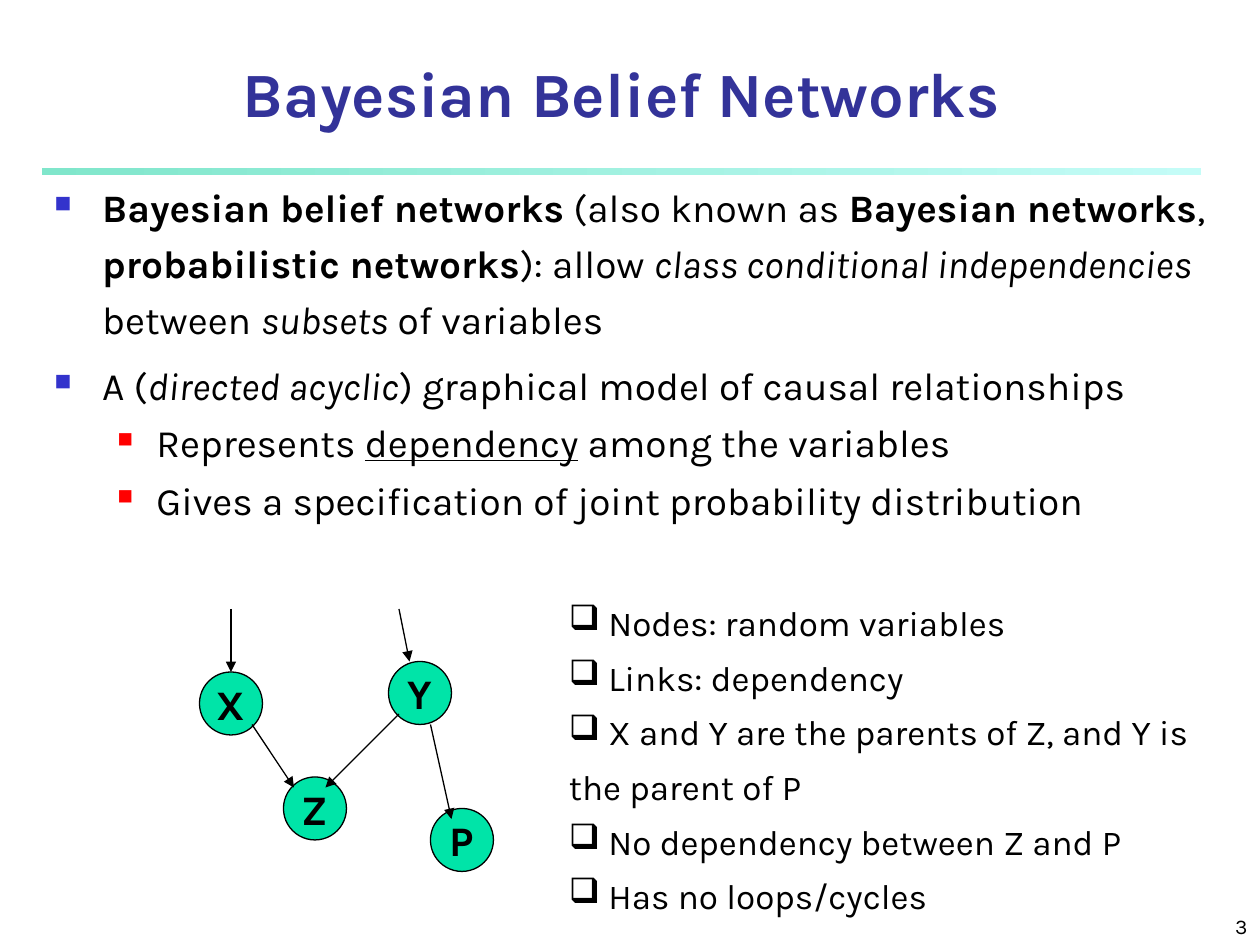
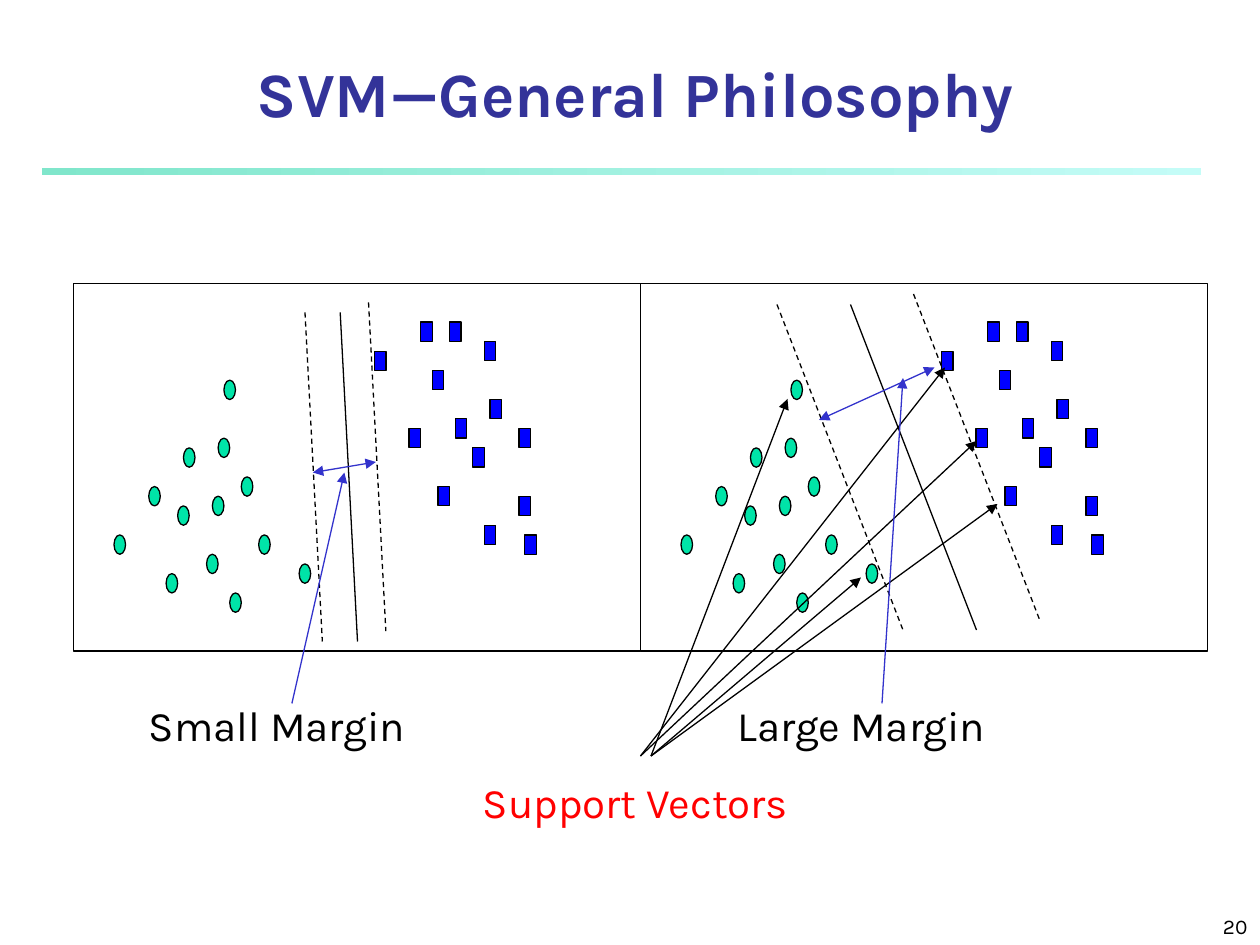
from lxml.etree import SubElement
from pptx import Presentation
from pptx.dml.color import RGBColor
from pptx.enum.dml import MSO_LINE
from pptx.enum.shapes import MSO_CONNECTOR, MSO_SHAPE
from pptx.enum.text import MSO_ANCHOR, PP_ALIGN
from pptx.oxml.ns import qn
from pptx.util import Inches, Pt

COLORS = {
    "title": "333399", "ink": "000000", "accent": "3333CC", "alert": "FF0000",
    "node": "00E4A8", "square": "0000FF", "bar_start": "80E6CB", "bar_end": "C4FCF7",
}
COLS, ROWS = 120, 90
WIDTH, HEIGHT = Inches(10), Inches(7.5)
FONT = "Karla"

BOLD, ITALIC, UNDERLINE = {"bold": True}, {"italic": True}, {"underline": True}
TOPIC = {"bullet": ("■", "accent", 60), "indent": (0.38, -0.38),
         "format": {"line_spacing": 1.2, "space_before": Pt(6)}}
DETAIL = {"bullet": ("■", "alert", 55), "indent": (0.81, -0.31),
          "format": {"level": 1, "space_before": Pt(6)}}
CHECK = {"bullet": ("❑", "ink", 100), "indent": (0, 0), "format": {"line_spacing": 1.3}}

PANEL = (54, 35)
PANEL_GRID = (98, 38)
CIRCLES = [(16, 30), (18, 23), (7, 26), (13, 21), (23, 28), (19, 17), (24, 22),
           (25, 16), (29, 20), (32, 26), (27, 32), (39, 29), (26, 10)]
SQUARES = [(58, 15), (52, 7), (60, 4), (63, 21), (62, 9), (66, 14), (65, 4),
           (71, 6), (69, 17), (72, 12), (71, 25), (77, 15), (77, 22), (78, 26)]


def rgb(name):
    return RGBColor.from_string(COLORS[name])


def x(col):
    return round(WIDTH * col / COLS)


def y(row):
    return round(HEIGHT * row / ROWS)


def box(left, top, width, height):
    return x(left), y(top), x(width), y(height)


class Deck:
    def __init__(self):
        self.prs = Presentation()
        self.prs.slide_width, self.prs.slide_height = WIDTH, HEIGHT
        self.s = None

    def slide(self, title, number, title_width):
        self.s = self.prs.slides.add_slide(self.prs.slide_layouts[6])
        bar = self.shape(MSO_SHAPE.RECTANGLE, (4, 16, 110.4, 0.65))
        bar.line.fill.background()
        bar.fill.gradient()
        bar.fill.gradient_angle = 0
        for stop, name in zip(bar.fill.gradient_stops, ("bar_start", "bar_end")):
            stop.color.rgb = rgb(name)
        self.text((95, 85, 25, 5), [number], size=12, align=PP_ALIGN.RIGHT,
                  anchor=MSO_ANCHOR.BOTTOM)
        self.text((4, 5, title_width, 8), [title], size=36, color="title", bold=True,
                  align=PP_ALIGN.CENTER, anchor=MSO_ANCHOR.BOTTOM)

    def shape(self, kind, place, fill=None):
        sp = self.s.shapes.add_shape(kind, *box(*place))
        sp.shadow.inherit = False
        if fill:
            sp.fill.solid()
            sp.fill.fore_color.rgb = rgb(fill)
        else:
            sp.fill.background()
        sp.line.color.rgb = rgb("ink")
        sp.line.width = Pt(0.75)
        return sp

    def runs(self, p, parts, size, color="ink", **style):
        for part in [parts] if isinstance(parts, str) else parts:
            words, extra = (part, {}) if isinstance(part, str) else part
            r = p.add_run()
            r.text = words
            r.font.color.rgb = rgb(color)
            for key, value in {"name": FONT, "size": Pt(size), **style, **extra}.items():
                setattr(r.font, key, value)

    def text(self, place, lines, size, align=PP_ALIGN.LEFT, anchor=MSO_ANCHOR.TOP,
             wrap=True, **style):
        tf = self.s.shapes.add_textbox(*box(*place)).text_frame
        tf.word_wrap, tf.vertical_anchor = wrap, anchor
        for i, line in enumerate(lines):
            p = tf.paragraphs[0] if i == 0 else tf.add_paragraph()
            p.alignment = align
            kind, parts = line if isinstance(line, tuple) else (None, line)
            if kind:
                self.bullet(p, kind)
            self.runs(p, parts, size, **style)

    def bullet(self, p, kind):
        for key, value in kind["format"].items():
            setattr(p, key, value)
        char, color, percent = kind["bullet"]
        margin, indent = kind["indent"]
        pPr = p._p.get_or_add_pPr()
        pPr.set("marL", str(Inches(margin)))
        pPr.set("indent", str(Inches(indent)))
        clr = SubElement(pPr, qn("a:buClr"))
        SubElement(clr, qn("a:srgbClr"), val=COLORS[color])
        SubElement(pPr, qn("a:buSzPct"), val=str(percent * 1000))
        SubElement(pPr, qn("a:buChar"), char=char)

    def node(self, name, left, top):
        sp = self.shape(MSO_SHAPE.FLOWCHART_CONNECTOR, (left, top, 6, 6), "node")
        tf = sp.text_frame
        tf.word_wrap, tf.vertical_anchor = False, MSO_ANCHOR.MIDDLE
        p = tf.paragraphs[0]
        p.alignment = PP_ALIGN.CENTER
        self.runs(p, name, 24, bold=True)

    def line(self, x1, y1, x2, y2, color="ink", dash=False, ends=()):
        sp = self.s.shapes.add_connector(MSO_CONNECTOR.STRAIGHT, x(x1), y(y1), x(x2), y(y2))
        sp.line.color.rgb = rgb(color)
        sp.line.width = Pt(0.75)
        if dash:
            sp.line.dash_style = MSO_LINE.DASH
        spPr = sp._element.spPr
        for end in ends:
            SubElement(spPr.find(qn("a:ln")), qn(f"a:{end}"), type="triangle")
        SubElement(spPr, qn("a:effectLst"))

    def scatter(self, left, top):
        dx, dy = (size / cells for size, cells in zip(PANEL, PANEL_GRID))
        for kind, fill, points in ((MSO_SHAPE.OVAL, "node", CIRCLES),
                                   (MSO_SHAPE.RECTANGLE, "square", SQUARES)):
            for col, row in points:
                self.shape(kind, (left + col * dx, top + row * dy, 2 * dx, 2 * dy), fill)
        self.shape(MSO_SHAPE.RECTANGLE, (left, top, *PANEL))


def networks_slide(deck):
    deck.slide("Bayesian Belief Networks", "3", 110.3)
    deck.text((4, 16, 113, 39.5), [
        (TOPIC, [("Bayesian belief networks", BOLD), " (also known as ",
                 ("Bayesian networks", BOLD), ", ", ("probabilistic networks", BOLD),
                 "): allow ", ("class conditional independencies", ITALIC),
                 " between ", ("subsets", ITALIC), " of variables"]),
        (TOPIC, ["A (", ("directed acyclic", ITALIC),
                 ") graphical model of causal relationships"]),
        (DETAIL, ["Represents ", ("dependency", UNDERLINE), " among the variables"]),
        (DETAIL, "Gives a specification of joint probability distribution"),
    ], size=22.2)
    for name, left, top in (("X", 19, 64), ("Y", 37, 63), ("Z", 27, 74), ("P", 41, 77)):
        deck.node(name, left, top)
    for link in ((24, 69, 28, 75), (38, 68, 31, 75), (41, 69, 43, 78),
                 (22, 58, 22, 64), (38, 58, 39, 63)):
        deck.line(*link, ends=["tailEnd"])
    deck.text((53, 55.5, 64.8, 32.4), [(CHECK, note) for note in (
        " Nodes: random variables",
        " Links: dependency",
        " X and Y are the parents of Z, and Y is the parent of P",
        " No dependency between Z and P",
        " Has no loops/cycles",
    )], size=20)


def svm_slide(deck):
    deck.slide("SVM—General Philosophy", "20", 113)
    for left in (7, 7 + PANEL[0]):
        deck.scatter(left, 27)
    for boundary, dash in (((35.1, 28.8, 36.75, 60.1), True),
                           ((29.05, 29.75, 30.7, 61.1), True),
                           ((32.4, 29.75, 34.05, 61.1), False),
                           ((74, 29, 86, 60), True),
                           ((87, 28, 99, 59), True),
                           ((81, 29, 93, 60), False)):
        deck.line(*boundary, dash=dash)
    for start, *target in ((61, 90, 35), (61, 93, 42), (62, 95, 48), (62, 82, 55), (62, 75, 38)):
        deck.line(start, 72, *target, ends=["tailEnd"])
    for margin in ((29.8, 45, 35.8, 44), (78, 40, 89, 35)):
        deck.line(*margin, color="accent", ends=["headEnd", "tailEnd"])
    for pointer in ((27.8, 67, 32.8, 45), (84, 67, 86, 36)):
        deck.line(*pointer, color="accent", ends=["tailEnd"])
    for label, place, color in (("Small Margin", (13, 66, 27.1, 6), "ink"),
                                ("Large Margin", (69.1, 66, 27.6, 6), "ink"),
                                ("Support Vectors", (44.8, 73.4, 32.5, 6), "alert")):
        deck.text(place, [label], size=24, color=color, wrap=False)


def main():
    deck = Deck()
    networks_slide(deck)
    svm_slide(deck)
    deck.prs.save("out.pptx")


if __name__ == "__main__":
    main()
